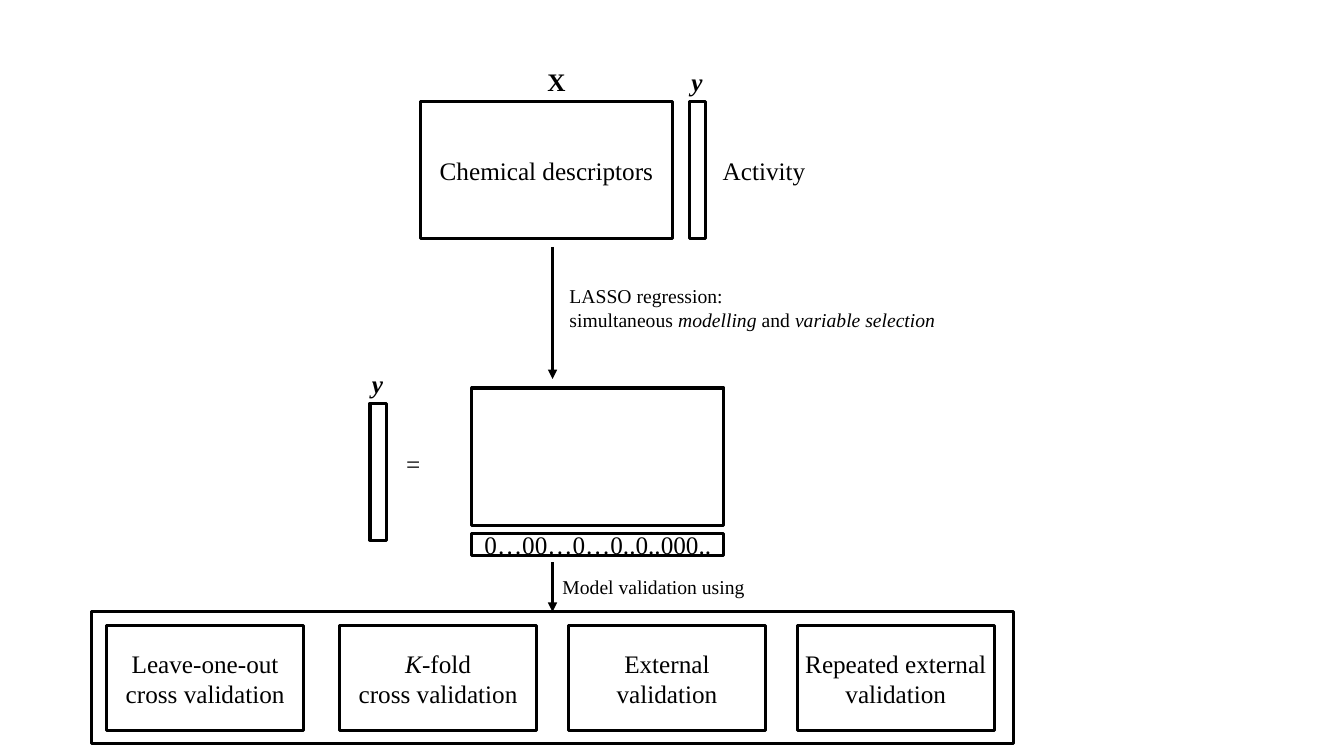
from pptx import Presentation, util as u
from pptx.dml import color
from pptx.enum import shapes, text
from pptx.oxml import ns, xmlchemy

PX = u.Inches(1) // 100
FONT = "Times New Roman"
INK, PAPER = "000000", "FFFFFF"
MATRIX_WIDTH, VECTOR_WIDTH, DATA_HEIGHT = 250, 16, 136
CARD_WIDTH, CARD_HEIGHT = 195, 104
ARROW_X = 548
VALIDATIONS = [
    (15, ["Leave-one-out cross validation"]),
    (246, [[("K", True), ("-fold", False)], "cross validation"]),
    (473, ["External", "validation"]),
    (700, ["Repeated external", "validation"]),
]


def px(*lengths):
    """Turn pixel lengths into EMU."""
    return [length * PX for length in lengths]


def rgb(code):
    """Turn a hex string into a colour."""
    return color.RGBColor.from_string(code)


def write_text(frame, paragraphs, size=18, bold=False, italic=False, align=text.PP_ALIGN.LEFT):
    """Fill a frame with paragraphs, each a string or a list of (words, italic) spans."""
    for index, spans in enumerate(paragraphs):
        para = frame.paragraphs[0] if index == 0 else frame.add_paragraph()
        para.alignment = align
        for words, slanted in [(spans, italic)] if isinstance(spans, str) else spans:
            span = para.add_run()
            span.text = words
            span.font.name = FONT
            span.font.size = u.Pt(size)
            span.font.bold = bold
            span.font.italic = slanted
            span.font.color.rgb = rgb(INK)


def add_label(page, left, top, width, height, paragraphs, **style):
    """Add a text box that does not wrap."""
    box = page.shapes.add_textbox(*px(left, top, width, height))
    box.text_frame.word_wrap = False
    box.text_frame.auto_size = text.MSO_AUTO_SIZE.SHAPE_TO_FIT_TEXT
    write_text(box.text_frame, paragraphs, **style)


def add_box(page, left, top, width, height, paragraphs=()):
    """Add an outlined rectangle with centred text."""
    box = page.shapes.add_shape(shapes.MSO_SHAPE.RECTANGLE, *px(left, top, width, height))
    box.shadow.inherit = False
    box.fill.solid()
    box.fill.fore_color.rgb = rgb(PAPER)
    box.line.color.rgb = rgb(INK)
    box.line.width = u.Pt(2.25)
    frame = box.text_frame
    frame.word_wrap = True
    frame.vertical_anchor = text.MSO_ANCHOR.MIDDLE
    frame.margin_left = frame.margin_right = 5 * PX
    write_text(frame, paragraphs, align=text.PP_ALIGN.CENTER)
    return box


def add_arrow(page, top, bottom, target=None):
    """Add a downward arrow, joined to the top of a target if given."""
    arrow = page.shapes.add_connector(
        shapes.MSO_CONNECTOR.STRAIGHT, *px(ARROW_X, top, ARROW_X, bottom))
    arrow.line.color.rgb = rgb(INK)
    arrow.line.width = u.Pt(2.25)
    head = xmlchemy.OxmlElement("a:tailEnd")
    head.set("type", "triangle")
    arrow.line._get_or_add_ln().append(head)
    arrow._element.spPr.append(arrow._element.spPr.makeelement(ns.qn("a:effectLst")))
    if target is not None:
        arrow.end_connect(target, 0)


def add_vector(page, left, top):
    """Add the narrow response vector with its y above."""
    add_box(page, left, top, VECTOR_WIDTH, DATA_HEIGHT)
    add_label(page, left - 8, top - 40, 32, 40, ["y"], bold=True, italic=True)


def add_data(page, left, top):
    """Add the descriptor matrix and the activity vector."""
    add_box(page, left, top, MATRIX_WIDTH, DATA_HEIGHT, ["Chemical descriptors"])
    add_label(page, left + 116, top - 40, 38, 40, ["X"], bold=True)
    add_vector(page, left + 267, top)
    add_label(page, left + 290, top + 48, 103, 40, ["Activity"])


def add_model(page, left, top):
    """Add the fitted equation with its sparse coefficients."""
    add_vector(page, left, top + 15)
    add_label(page, left + 26, top + 55, 34, 40, ["="])
    add_box(page, left + 101, top, MATRIX_WIDTH, DATA_HEIGHT)
    add_box(page, left + 101, top + 144, MATRIX_WIDTH, 22, ["0…00…0…0..0..000.."])


def add_validation(page, left, top, width, height):
    """Add the frame of validation methods and return it."""
    frame = add_box(page, left, top, width, height)
    for offset, paragraphs in VALIDATIONS:
        add_box(page, left + offset, top + 14, CARD_WIDTH, CARD_HEIGHT, paragraphs)
    return frame


def main():
    """Build the workflow slide."""
    deck = Presentation()
    deck.slide_width, deck.slide_height = px(1333, 750)
    page = deck.slides.add_slide(deck.slide_layouts[6])
    add_data(page, 417, 101)
    add_arrow(page, 245, 376)
    add_label(page, 555, 277, 386, 57, [
        "LASSO regression:",
        [("simultaneous ", False), ("modelling", True),
         (" and ", False), ("variable selection", True)],
    ], size=14)
    add_model(page, 367, 385)
    frame = add_validation(page, 91, 607, 914, 131)
    add_arrow(page, 558, 607, frame)
    add_label(page, 548, 565, 202, 34, ["Model validation using"], size=14)
    deck.save("out.pptx")


if __name__ == "__main__":
    main()
